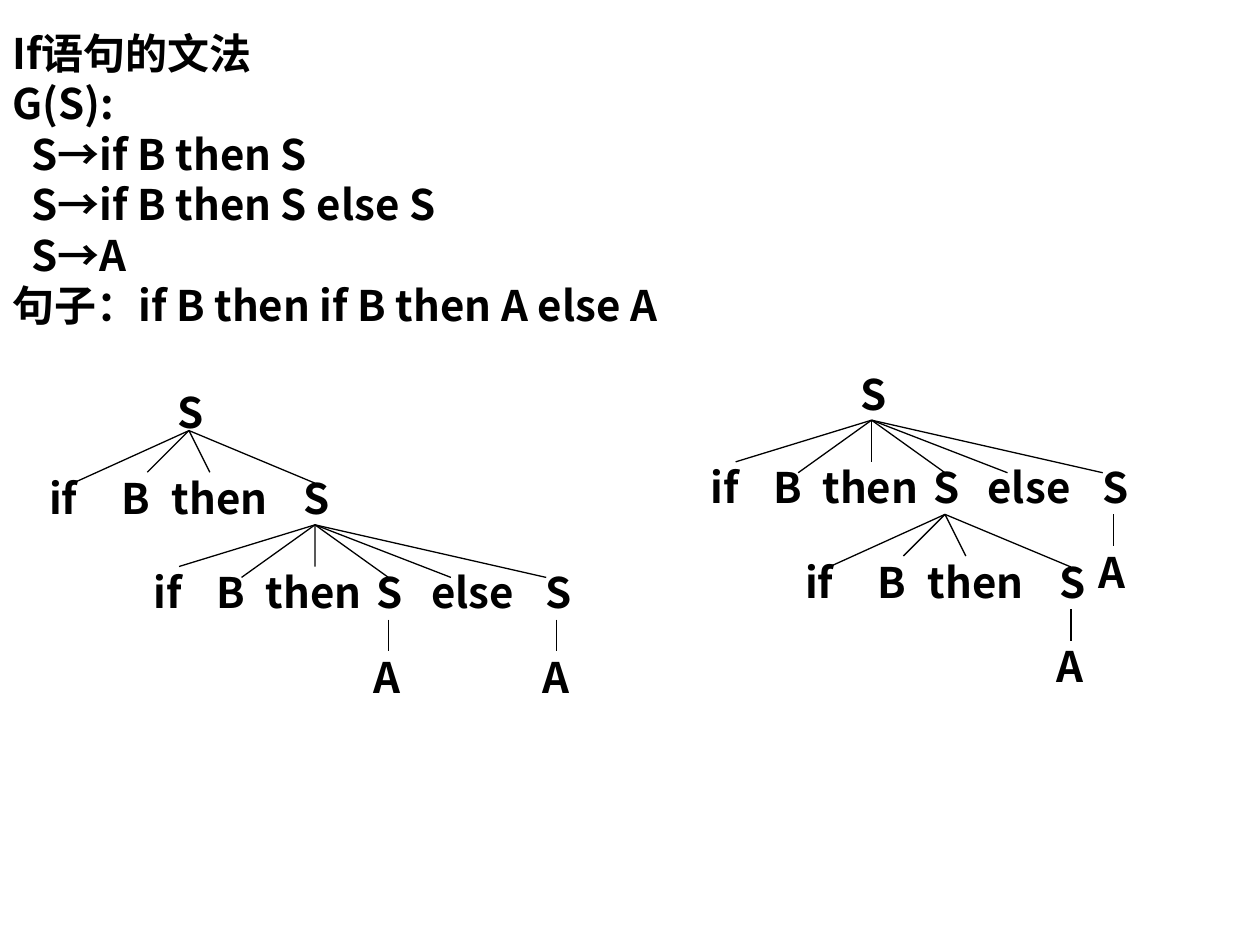
import dataclasses

import pptx
import pptx.dml.color
import pptx.enum.shapes
import pptx.enum.text
import pptx.oxml.ns
import pptx.util
from lxml import etree

Cm = pptx.util.Cm
Pt = pptx.util.Pt
qn = pptx.oxml.ns.qn


@dataclasses.dataclass(frozen=True)
class Theme:
    font: str = "Noto Sans CJK SC"
    size: float = 24
    line_pitch: float = 28.8
    ink: str = "000000"
    stroke: float = 0.75


WIDTHS = {"S": 0.46, "A": 0.58, "B": 0.56, "if": 0.58, "then": 1.98, "else": 1.7}
NODE_HEIGHT = 1.02
LEAF_DROP = 0.64
FAN_DROP = 0.84
LOW_DROP = 1.06

SHORT_RULE = [
    ("if", -2.53, -2.34, LOW_DROP),
    ("B", -1.07, -0.84, FAN_DROP),
    ("then", 0.64, 0.42, FAN_DROP),
    ("S", 2.54, 2.54, LOW_DROP),
]
LONG_RULE = [
    ("if", -2.96, -2.74, FAN_DROP),
    ("B", -1.7, -1.48, LOW_DROP),
    ("then", 0, 0, FAN_DROP),
    ("S", 1.48, 1.48, LOW_DROP),
    ("else", 3.19, 2.74, LOW_DROP),
    ("S", 4.88, 4.66, LOW_DROP),
]
GRAMMAR = [
    ("If语句的文法", 0),
    ("G(S):", 0),
    ("S→if B then S", 0.38),
    ("S→if B then S else S", 0.38),
    ("S→A", 0.38),
    ("句子：if B then if B then A else A", 0),
]
TREES = [
    {
        "root": (3.81, 7.79),
        "fans": [(3.81, 8.68, SHORT_RULE), (6.35, 10.58, LONG_RULE)],
        "leaves": [(7.83, 12.49), (11.22, 12.49)],
    },
    {
        "root": (17.57, 7.42),
        "fans": [(17.57, 8.47, LONG_RULE), (19.05, 10.37, SHORT_RULE)],
        "leaves": [(21.59, 12.28), (22.44, 10.37)],
    },
]


class TreePage:
    def __init__(self, page, theme):
        self.page = page
        self.theme = theme
        self.ink = pptx.dml.color.RGBColor.from_string(theme.ink)

    def style(self, para):
        para.line_spacing = Pt(self.theme.line_pitch)
        font = para.font
        font.name = self.theme.font
        font.size = Pt(self.theme.size)
        font.bold = True
        font.color.rgb = self.ink
        defaults = para._p.get_or_add_pPr().find(qn("a:defRPr"))
        etree.SubElement(defaults, qn("a:ea"), typeface=self.theme.font)

    def text(self, lines, left, top, width, height):
        box = self.page.shapes.add_textbox(Cm(left), Cm(top), Cm(width), Cm(height))
        frame = box.text_frame
        frame.word_wrap = True
        for index, (wording, indent) in enumerate(lines):
            para = frame.add_paragraph() if index else frame.paragraphs[0]
            para.text = wording
            if indent:
                para._p.get_or_add_pPr().set("marL", str(Cm(indent)))
            self.style(para)
        return box

    def node(self, symbol, centre, top):
        width = WIDTHS[symbol]
        box = self.text([(symbol, 0)], centre - width / 2, top, width, NODE_HEIGHT)
        frame = box.text_frame
        frame.margin_left = frame.margin_right = 0
        frame.margin_top = frame.margin_bottom = 0
        frame.word_wrap = symbol == "else"
        frame.auto_size = pptx.enum.text.MSO_AUTO_SIZE.SHAPE_TO_FIT_TEXT
        return box

    def branch(self, x1, y1, x2, y2):
        line = self.page.shapes.add_connector(
            pptx.enum.shapes.MSO_CONNECTOR.STRAIGHT, Cm(x1), Cm(y1), Cm(x2), Cm(y2)
        )
        line.line.color.rgb = self.ink
        line.line.width = Pt(self.theme.stroke)
        etree.SubElement(line._element.spPr, qn("a:effectLst"))
        return line

    def fan(self, x, y, rule):
        for symbol, centre, reach, drop in rule:
            box = self.node(symbol, x + centre, y + FAN_DROP)
            line = self.branch(x, y, x + reach, y + drop)
            if (reach, drop) == (centre, FAN_DROP):
                line.end_connect(box, 0)

    def leaf(self, x, y):
        box = self.node("A", x, y + LEAF_DROP)
        self.branch(x, y, x, y + LEAF_DROP).end_connect(box, 0)

    def tree(self, root, fans, leaves):
        self.node("S", *root)
        for fan in fans:
            self.fan(*fan)
        for leaf in leaves:
            self.leaf(*leaf)


def main():
    deck = pptx.Presentation()
    deck.slide_width = Cm(25.4)
    deck.slide_height = Cm(19.05)
    page = TreePage(deck.slides.add_slide(deck.slide_layouts[6]), Theme())
    page.text(GRAMMAR, 0, 0.43, 19.25, 6.78)
    for tree in TREES:
        page.tree(**tree)
    deck.save("out.pptx")


if __name__ == "__main__":
    main()
